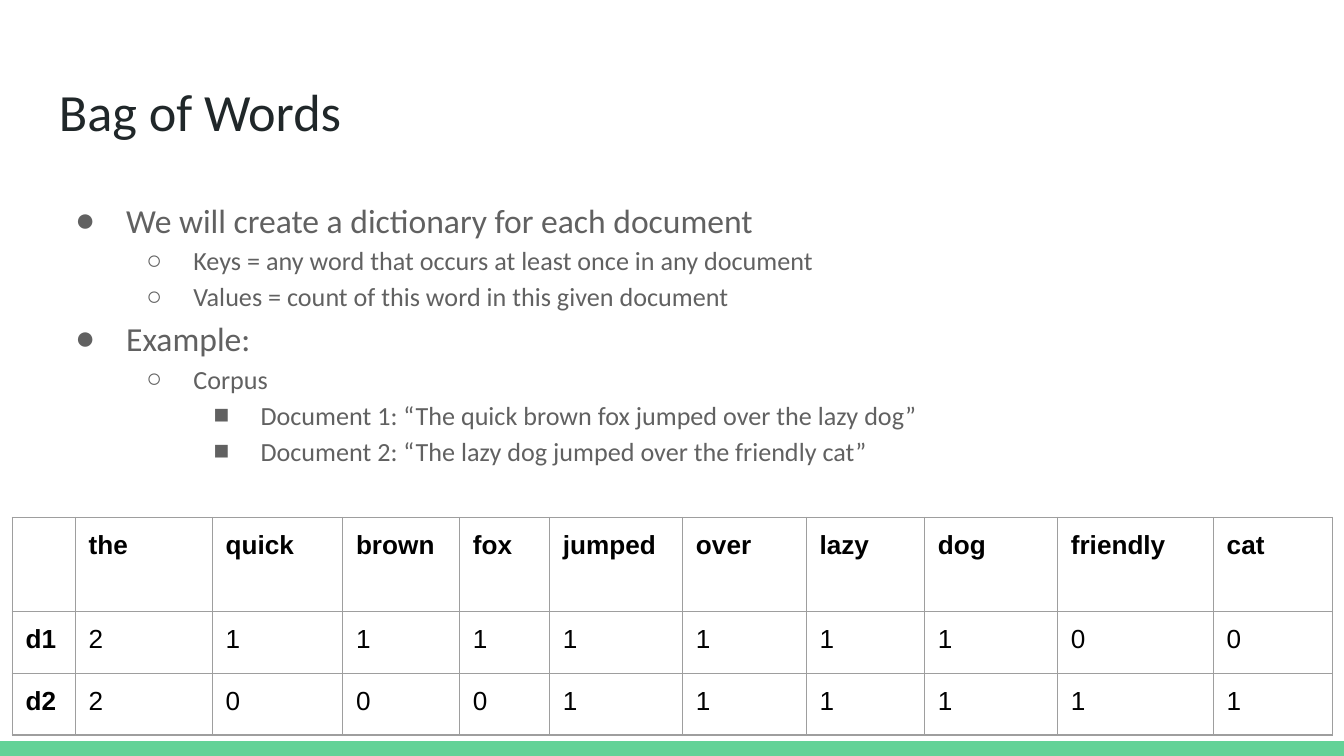
import pptx
import pptx.dml.color
import pptx.enum.shapes
import pptx.oxml
import pptx.oxml.ns
import pptx.util
from lxml import etree

Inches, Pt = pptx.util.Inches, pptx.util.Pt
qn = pptx.oxml.ns.qn

# Content
TITLE = "Bag of Words"
POINTS = [
    (0, "We will create a dictionary for each document"),
    (1, "Keys = any word that occurs at least once in any document"),
    (1, "Values = count of this word in this given document"),
    (0, "Example:"),
    (1, "Corpus"),
    (2, "Document 1: “The quick brown fox jumped over the lazy dog”"),
    (2, "Document 2: “The lazy dog jumped over the friendly cat”"),
]
WORDS = ["the", "quick", "brown", "fox", "jumped", "over", "lazy", "dog", "friendly", "cat"]
COUNTS = {
    "d1": [2, 1, 1, 1, 1, 1, 1, 1, 0, 0],
    "d2": [2, 0, 0, 0, 1, 1, 1, 1, 1, 1],
}

# Style
COLORS = {"title": "202729", "body": "616161", "bar": "63D297", "grid": "9E9E9E", "cell": "000000"}
LEVELS = [("●", 18, 0.38), ("○", 14, 0.35), ("■", 14, 0.35)]  # bullet, size, hanging indent
COLUMN_WIDTHS = [0.47, 1.02, 0.97, 0.87, 0.67, 0.99, 0.92, 0.88, 0.99, 1.16, 0.89]
ROW_HEIGHTS = [0.7, 0.46, 0.46]
INSET = Inches(0.1)


def rgb(name):
    return pptx.dml.color.RGBColor.from_string(COLORS[name])


def set_insets(target):
    target.margin_left = target.margin_right = INSET
    target.margin_top = target.margin_bottom = INSET


def add_text_frame(slide, left, top, width, height):
    frame = slide.shapes.add_textbox(*map(Inches, (left, top, width, height))).text_frame
    frame.word_wrap = True
    set_insets(frame)
    return frame


def add_run(paragraph, text, size, font, color, bold=False):
    run = paragraph.add_run()
    run.text = text
    run.font.size = Pt(size)
    run.font.name = font
    run.font.bold = bold
    run.font.color.rgb = rgb(color)


def add_bullet(paragraph, level):
    char, _, hanging = LEVELS[level]
    paragraph.level = level
    paragraph.line_spacing = 1.15
    props = paragraph._p.get_or_add_pPr()
    props.set("marL", str(Inches(0.5 * (level + 1))))
    props.set("indent", str(-Inches(hanging)))
    color = etree.SubElement(props, qn("a:buClr"))
    etree.SubElement(color, qn("a:srgbClr"), val=COLORS["body"])
    etree.SubElement(props, qn("a:buFont"), typeface="Arial")
    etree.SubElement(props, qn("a:buChar"), char=char)


def add_borders(cell):
    props = cell._tc.get_or_add_tcPr()
    for position, side in enumerate(("a:lnL", "a:lnR", "a:lnT", "a:lnB")):
        line = etree.Element(qn(side), w=str(Pt(0.75)))
        fill = etree.SubElement(line, qn("a:solidFill"))
        etree.SubElement(fill, qn("a:srgbClr"), val=COLORS["grid"])
        props.insert(position, line)


def main():
    # Widescreen slide, 16 by 9
    deck = pptx.Presentation()
    deck.slide_width = Inches(10)
    deck.slide_height = Inches(10) * 9 // 16
    slide = deck.slides.add_slide(deck.slide_layouts[6])

    # Bottom bar
    bar_height = Inches(0.11)
    bar = slide.shapes.add_shape(
        pptx.enum.shapes.MSO_SHAPE.RECTANGLE,
        0, deck.slide_height - bar_height, deck.slide_width, bar_height)
    bar.shadow.inherit = False
    bar.fill.solid()
    bar.fill.fore_color.rgb = rgb("bar")
    bar.line.fill.background()

    # Title
    title = add_text_frame(slide, 0.34, 0.49, 9.32, 0.63)
    add_run(title.paragraphs[0], TITLE, 28, "Calibri", "title")

    # Bulleted points
    body = add_text_frame(slide, 0.34, 1.34, 9.32, 2.31)
    for index, (level, text) in enumerate(POINTS):
        paragraph = body.add_paragraph() if index else body.paragraphs[0]
        add_bullet(paragraph, level)
        add_run(paragraph, text, LEVELS[level][1], "Calibri", "body")

    # Word count table
    rows = [["", *WORDS]] + [[document, *counts] for document, counts in COUNTS.items()]
    word_counts = slide.shapes.add_table(
        len(rows), len(COLUMN_WIDTHS), Inches(0.09), Inches(3.85),
        Inches(sum(COLUMN_WIDTHS)), Inches(sum(ROW_HEIGHTS))).table
    for column, width in zip(word_counts.columns, COLUMN_WIDTHS):
        column.width = Inches(width)
    for row, height in zip(word_counts.rows, ROW_HEIGHTS):
        row.height = Inches(height)
    for r, values in enumerate(rows):
        for c, value in enumerate(values):
            cell = word_counts.cell(r, c)
            set_insets(cell)
            cell.fill.background()
            add_borders(cell)
            if value != "":
                add_run(cell.text_frame.paragraphs[0], str(value), 14, "Arial", "cell",
                        bold=r == 0 or c == 0)

    deck.save("out.pptx")


if __name__ == "__main__":
    main()
